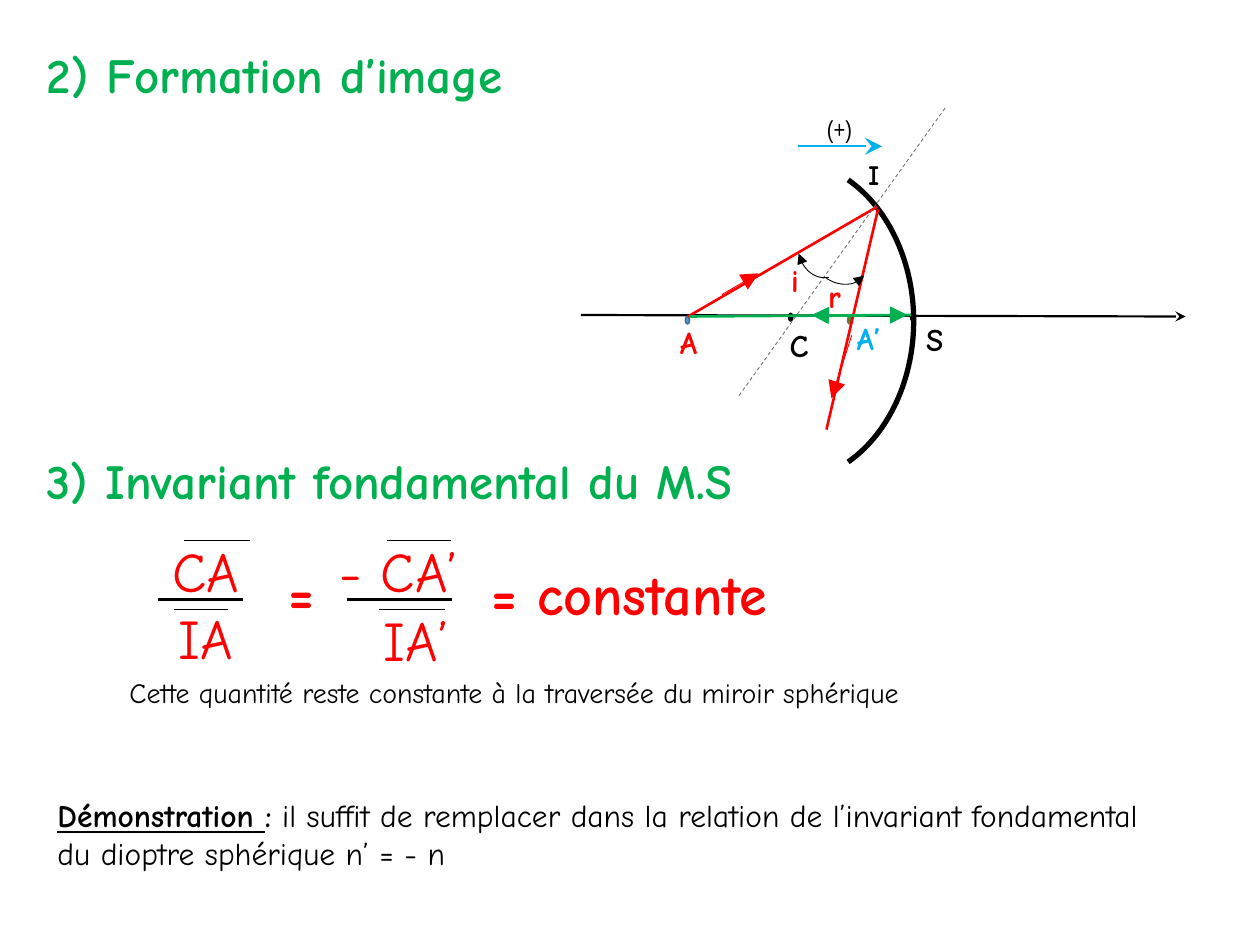
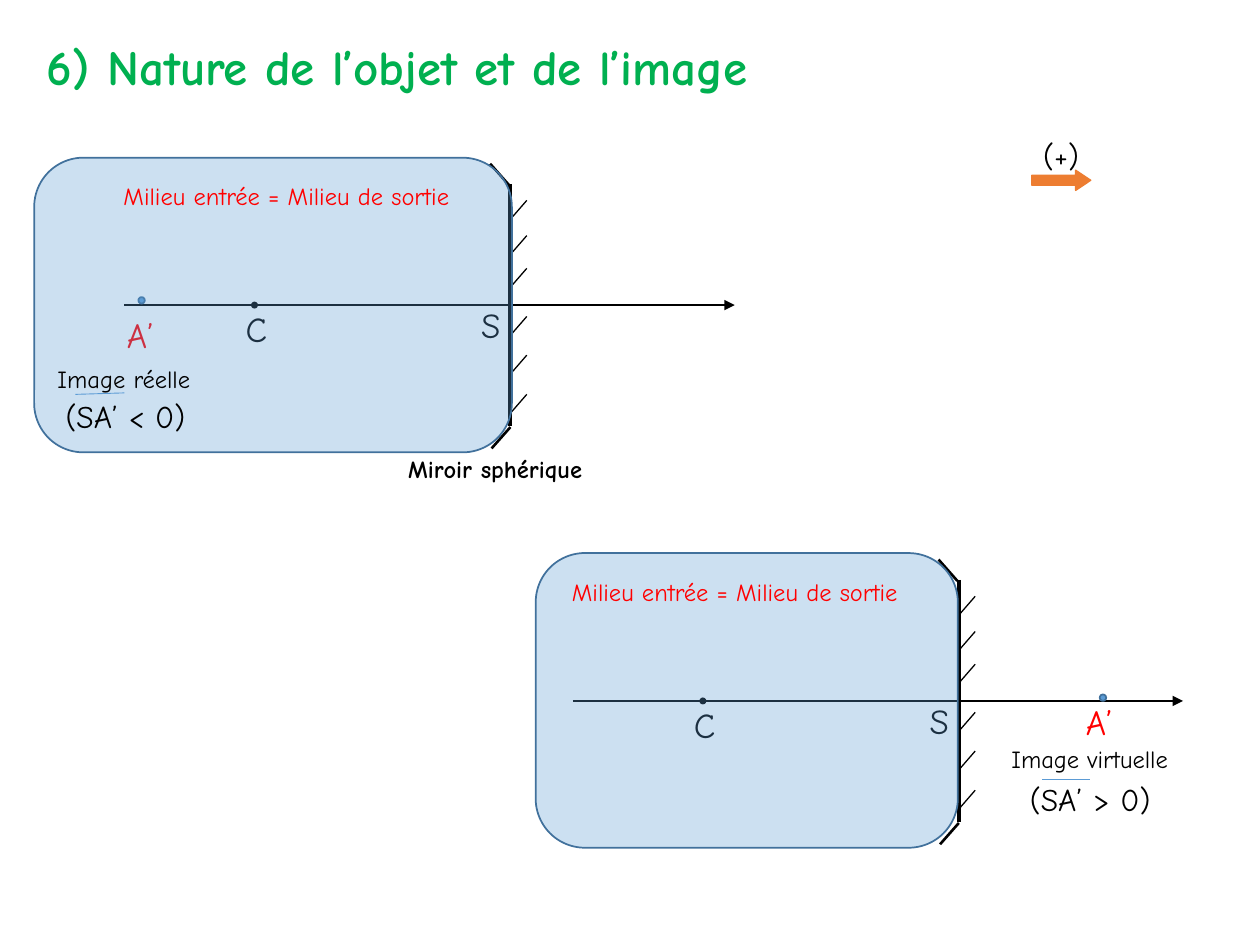
from lxml.etree import SubElement
from pptx import Presentation
from pptx.dml.color import RGBColor
from pptx.enum.dml import MSO_LINE_DASH_STYLE as Dash
from pptx.enum.shapes import MSO_CONNECTOR as Connector, MSO_SHAPE as Preset
from pptx.enum.text import MSO_ANCHOR as Anchor, MSO_AUTO_SIZE as AutoSize, PP_ALIGN as Align
from pptx.oxml.ns import qn
from pptx.util import Cm, Pt

rgb = RGBColor.from_string
BLACK, RED, GREEN = "000000", "FF0000", "00B050"
CYAN, BLUE, NAVY, ORANGE = "00B0F0", "5B9BD5", "41719C", "ED7D31"
OLIVE, GREY = "548235", "767171"
FONT = "Comic Neue"
HEADING = {"size": 28, "color": GREEN, "bold": True, "spacing": 0.9}


def add_item(slide, box, text="", size=18, color=BLACK, bold=False, align=Align.LEFT,
             font=FONT, wrap=True, spacing=1.0, holder=None,
             kind=None, fill=None, outline=BLACK, width=1):
    lengths = [Cm(value) for value in box]
    if kind:
        shape = slide.shapes.add_shape(kind, *lengths)
        shape.shadow.inherit = False
        shape.fill.background()
        if fill:
            shape.fill.solid()
            shape.fill.fore_color.rgb = rgb(fill)
        shape.line.color.rgb = rgb(outline)
        shape.line.width = Pt(width)
        return shape
    shape = holder or slide.shapes.add_textbox(*lengths)
    for name, value in zip(("left", "top", "width", "height"), lengths):
        setattr(shape, name, value)
    frame = shape.text_frame
    frame.text = text
    frame.word_wrap = wrap
    frame.auto_size = AutoSize.NONE
    frame.vertical_anchor = Anchor.TOP
    for paragraph in frame.paragraphs:
        paragraph.alignment = align
        paragraph.line_spacing = spacing
        for run in paragraph.runs:
            run.font.color.rgb = rgb(color)
            for name, value in {"name": font, "size": Pt(size), "bold": bold}.items():
                setattr(run.font, name, value)
    return shape


def add_line(slide, ends, color=BLACK, width=0.75, dash=None, **arrows):
    connector = slide.shapes.add_connector(Connector.STRAIGHT, *[Cm(value) for value in ends])
    connector.line.color.rgb = rgb(color)
    connector.line.width = Pt(width)
    if dash:
        connector.line.dash_style = dash
    properties = connector._element.spPr
    for end, (kind, size) in arrows.items():
        SubElement(properties.find(qn("a:ln")), qn(f"a:{end}End"), type=kind, w=size, len=size)
    SubElement(properties, qn("a:effectLst"))


presentation = Presentation()
presentation.slide_width, presentation.slide_height = Cm(25.4), Cm(19.05)
title_only = presentation.slide_layouts[5]

slide = presentation.slides.add_slide(title_only)
add_item(slide, (0.69, 0.91, 22.4, 2.11), "2) Formation d’image",
         holder=slide.shapes.title, **HEADING)

for box, text, extra in (
    ((2.51, 10.69, 3.28, 2.97), "CA\nIA", {}),
    ((6.4, 10.69, 3.28, 2.97), "- CA’", {}),
    ((5.56, 11.13, 0.91, 1.63), "=", {"bold": True}),
    ((7.49, 12.09, 1.8, 1.63), "IA’", {"wrap": False}),
    ((9.65, 11.15, 7.5, 1.63), "= constante", {"bold": True, "align": Align.LEFT}),
):
    add_item(slide, box, text, **{"size": 32, "color": RED, "align": Align.CENTER, **extra})

for left, right, y, width in (
    (3.18, 4.9, 12.09, 1.5), (6.99, 9.12, 12.09, 1.5),
    (3.71, 5.03, 10.9, 0.5), (7.8, 9.09, 10.9, 0.5),
    (3.51, 4.6, 12.29, 0.5), (7.65, 8.97, 12.29, 0.5),
):
    add_line(slide, (left, y, right, y), width=width)

MIRROR_ANGLE = 66.8
UNITS_PER_DEGREE = 0.6
mirror_arc = add_item(slide, (13.34, 3.23, 5.08, 6.48), kind=Preset.ARC, width=3)
mirror_arc.adjustments[0] = (360 - MIRROR_ANGLE) * UNITS_PER_DEGREE
mirror_arc.adjustments[1] = MIRROR_ANGLE * UNITS_PER_DEGREE

add_line(slide, (11.71, 6.35, 23.9, 6.38), width=1.25, tail=("stealth", "med"))
add_line(slide, (16.08, 2.95, 17.78, 2.95), CYAN, 1, tail=("stealth", "lg"))

for left, top, fill, outline in (
    (18.36, 6.32, BLACK, BLACK), (15.9, 6.32, BLACK, BLACK),
    (13.82, 6.38, BLUE, NAVY), (17.09, 6.38, OLIVE, OLIVE),
):
    add_item(slide, (left, top, 0.08, 0.15), kind=Preset.OVAL, fill=fill, outline=outline)

for ends, color, width in (
    ((13.87, 6.38, 17.68, 4.17), RED, 1.5),
    ((17.7, 4.22, 16.66, 8.66), RED, 1.5),
    ((13.89, 6.38, 18.36, 6.35), GREEN, 1.5),
):
    add_line(slide, ends, color, width)
for ends, color, width in (
    ((14.55, 5.94, 15.29, 5.51), RED, 0.5),
    ((17.17, 6.76, 16.76, 8.03), RED, 0.5),
    ((17.45, 6.38, 16.36, 6.35), GREEN, 0.75),
    ((17.55, 6.35, 18.29, 6.35), GREEN, 0.75),
):
    add_line(slide, ends, color, width, tail=("triangle", "lg"))
add_line(slide, (19.05, 2.18, 14.88, 8), GREY, 0.5, Dash.DASH)

STEPS = 16
for controls in (
    ((16.71, 5.59), (16.43, 5.64), (16.18, 5.44), (16.1, 5.11)),
    ((16.66, 5.61), (16.92, 5.79), (17.27, 5.77), (17.42, 5.56)),
):
    points = []
    for step in range(STEPS + 1):
        t = step / STEPS
        weights = ((1 - t) ** 3, 3 * t * (1 - t) ** 2, 3 * t * t * (1 - t), t ** 3)
        points.append([Cm(sum(w * p[axis] for w, p in zip(weights, controls))) for axis in (0, 1)])
    builder = slide.shapes.build_freeform(*points[0])
    builder.add_line_segments(points[1:], close=False)
    angle_arc = builder.convert_to_shape()
    angle_arc.shadow.inherit = False
    angle_arc.fill.background()
    angle_arc.line.color.rgb = rgb(BLACK)
    angle_arc.line.width = Pt(0.5)
    SubElement(angle_arc._element.spPr.find(qn("a:ln")), qn("a:tailEnd"), type="triangle")

for box, text, color, align in (
    ((18.42, 6.32, 0.99, 1.02), "S", BLACK, Align.LEFT),
    ((15.67, 6.45, 0.99, 1.02), "C", BLACK, Align.LEFT),
    ((12.8, 6.38, 2.16, 1.02), "A", RED, Align.CENTER),
    ((16.76, 6.3, 1.5, 1.02), "A’", CYAN, Align.CENTER),
    ((15.57, 5.13, 0.91, 1.02), "i", RED, Align.CENTER),
    ((16.28, 5.46, 1.09, 1.02), "r", RED, Align.CENTER),
):
    add_item(slide, box, text, color=color, bold=True, align=align)
add_item(slide, (17.25, 3.05, 1.17, 0.94), "I", 16, bold=True)
add_item(slide, (15.49, 2.18, 2.87, 0.86), "(+)", 14, align=Align.CENTER, font="Arial Narrow")

add_item(slide, (0.69, 9.09, 16.54, 2.11), "3) Invariant fondamental du M.S", **HEADING)
add_item(slide, (2.36, 13.49, 18.75, 0.94),
         "Cette quantité reste constante à la traversée du miroir sphérique", 16)

demonstration = add_item(slide, (0.91, 15.93, 24.4, 1.78), "\ndu dioptre sphérique n’ = - n")
for text, bold, underline in (
    ("Démonstration ", True, True),
    (":", True, False),
    (" il suffit de remplacer dans la relation de l’invariant fondamental", False, False),
):
    run = demonstration.text_frame.paragraphs[0].add_run()
    run.text = text
    run.font.color.rgb = rgb(BLACK)
    for name, value in {"name": FONT, "size": Pt(18), "bold": bold, "underline": underline}.items():
        setattr(run.font, name, value)

slide = presentation.slides.add_slide(title_only)
add_item(slide, (0.69, 0.74, 22.4, 2.11), "6) Nature de l’objet et de l’image",
         holder=slide.shapes.title, **HEADING)

mirrors = (
    {"shift": (0, 0), "panel": (0.69, 3.18, 9.63, 5.94), "dot": (2.79, 5.99),
     "point": (2.31, 6.2), "nature": "Image réelle", "nature_at": (0.91, 7.21),
     "sign": "(SA’ < 0)", "sign_at": (1.07, 7.87), "bar": (1.52, 7.95, 2.51, 7.92)},
    {"shift": (9.04, 7.98), "panel": (10.8, 11.15, 8.51, 5.94), "dot": (22.17, 14),
     "point": (21.64, 14), "nature": "Image virtuelle", "nature_at": (20.14, 14.88),
     "sign": "(SA’ > 0)", "sign_at": (20.52, 15.6), "bar": (21.01, 15.72, 21.97, 15.72)},
)
mirror_lines = [
    ((2.79, 6.15, 13.18, 6.15), 0.75, {}),
    ((5.13, 6.15, 9.58, 6.15), 0.75, {"head": ("oval", "sm")}),
    ((2.51, 6.15, 14.81, 6.15), 0.75, {"tail": ("triangle", "med")}),
    ((10.29, 3.71, 10.29, 8.59), 2.25, {}),
    ((10.29, 8.61, 9.91, 9.04), 1.5, {}),
    ((10.26, 3.73, 9.88, 3.3), 1.5, {}),
]
for y in (4.04, 4.75, 5.41, 6.38, 7.16, 7.95):
    mirror_lines.append(((10.62, y, 10.29, y + 0.38), 0.75, {}))

for mirror in mirrors:
    dx, dy = mirror["shift"]
    for (x1, y1, x2, y2), width, arrows in mirror_lines:
        add_line(slide, (x1 + dx, y1 + dy, x2 + dx, y2 + dy), width=width, **arrows)
    for text, left, top in (("C", 4.7, 6.07), ("S", 9.45, 5.99)):
        add_item(slide, (left + dx, top + dy, 1.07, 1.12), text, 20)
    add_item(slide, (*mirror["point"], 1.57, 1.12), "A’", 20, RED)
    add_item(slide, (*mirror["dot"], 0.13, 0.13), kind=Preset.OVAL, fill=BLUE, outline=NAVY)
    panel = add_item(slide, mirror["panel"], kind=Preset.ROUNDED_RECTANGLE, fill=BLUE, outline=NAVY)
    panel.adjustments[0] = 0.167
    panel_color = panel._element.spPr.find(qn("a:solidFill")).find(qn("a:srgbClr"))
    SubElement(panel_color, qn("a:alpha"), val="31000")
    add_item(slide, (2.24 + dx, 3.53 + dy, 10.41, 0.86), "Milieu entrée = Milieu de sortie", 14, RED)
    add_item(slide, (*mirror["nature_at"], 4.18, 0.86), mirror["nature"], 14)
    add_item(slide, (*mirror["sign_at"], 2.92, 1.02), mirror["sign"], align=Align.CENTER, wrap=False)
    add_line(slide, mirror["bar"], BLUE, 0.5)

add_item(slide, (7.98, 9.02, 10.41, 0.86), "Miroir sphérique", 14, bold=True)
direction = add_item(slide, (20.8, 3.43, 1.19, 0.41), kind=Preset.RIGHT_ARROW,
                     fill=ORANGE, outline=ORANGE, width=0.75)
direction.adjustments[1] = 0.746
add_item(slide, (20.78, 2.62, 1.42, 1.02), "(+)")

presentation.save("out.pptx")
